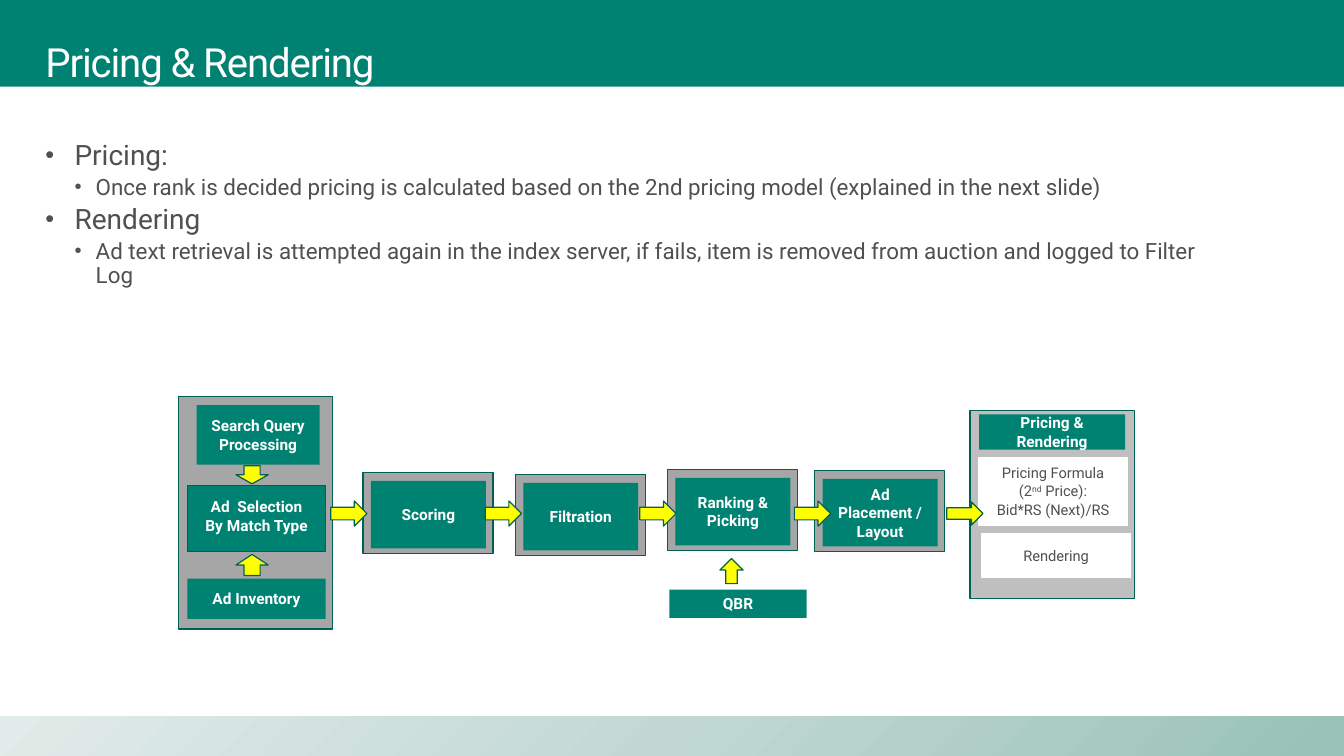
from copy import deepcopy

from lxml.etree import SubElement
from pptx import Presentation
from pptx.dml.color import RGBColor
from pptx.enum.shapes import MSO_SHAPE as SHAPE
from pptx.enum.text import MSO_ANCHOR as ANCHOR, PP_ALIGN as ALIGN
from pptx.oxml.ns import qn
from pptx.util import Inches, Pt

COLORS = {
    "teal": "008272", "outline": "006054", "gray": "A6A6A6", "silver": "BFBFBF",
    "yellow": "FFFF00", "white": "FFFFFF", "text": "505050",
    "bar_dark": "98C1B7", "bar_mid": "C1D8D2", "bar_light": "E1EBE9",
}
FONT = "Roboto"
CELL = Inches(0.1)
COLS, ROWS = 133.3, 75

BULLETS = [
    (0, "Pricing:"),
    (1, "Once rank is decided pricing is calculated based on the 2nd pricing model "
        "(explained in the next slide)"),
    (0, "Rendering"),
    (1, "Ad text retrieval is attempted again in the index server, if fails, item is "
        "removed from auction and logged to Filter Log"),
]
BULLET_LEVELS = [(20, 0.29, 0.29), (16, 0.5, 0.21)]
STAGES = [
    ("Scoring", 36, 46.9),
    ("Filtration", 51.1, 47.1),
    ("Ranking & Picking", 66.2, 46.6),
    ("Ad Placement / Layout", 80.8, 46.7),
]


def color(name):
    return RGBColor.from_string(COLORS[name])


def grid(*cells):
    return [round(c * CELL) for c in cells]


def style(r, size, name, bold=False):
    r.font.name, r.font.size, r.font.bold = FONT, Pt(size), bold
    r.font.color.rgb = color(name)


def set_insets(tf):
    tf.word_wrap = True
    tf.vertical_anchor = ANCHOR.TOP
    tf.margin_left = tf.margin_right = Inches(0.16)
    tf.margin_top = tf.margin_bottom = Inches(0.1)


def add_block(s, cells, fill, line=None, kind=SHAPE.RECTANGLE):
    sp = s.shapes.add_shape(kind, *grid(*cells))
    sp.shadow.inherit = False
    sp.fill.solid()
    sp.fill.fore_color.rgb = color(fill)
    if line:
        sp.line.color.rgb = color(line)
        sp.line.width = Pt(0.85)
    else:
        sp.line.fill.background()
    return sp


def add_label(s, cells, text, fill="teal", line=None, size=11, font="white", bold=True):
    sp = add_block(s, cells, fill, line)
    tf = sp.text_frame
    tf.word_wrap = True
    tf.vertical_anchor = ANCHOR.MIDDLE
    tf.text = text
    for p in tf.paragraphs:
        p.alignment = ALIGN.CENTER
        p.space_before = Pt(size / 10)
        for r in p.runs:
            style(r, size, font, bold)
    return sp


def add_note(s, cells, text):
    return add_label(s, cells, text, "white", "white", 10.5, "text", False)


def add_arrow(s, cells, kind=SHAPE.RIGHT_ARROW):
    return add_block(s, cells, "yellow", "outline", kind)


def add_footer_bar(s):
    sp = add_block(s, (0, 71.1, COLS, ROWS - 71.1), "bar_mid")
    sp.fill.gradient()
    sp.fill.gradient_angle = 135
    first, last = sp.fill.gradient_stops
    first.color.rgb, last.color.rgb = color("bar_dark"), color("bar_light")
    first.position, last.position = 0, 1
    stops = sp._element.spPr.find(qn("a:gradFill")).find(qn("a:gsLst"))
    stops.insert(1, deepcopy(stops[0]))
    middle = sp.fill.gradient_stops[1]
    middle.position, middle.color.rgb = 0.5, color("bar_mid")


def add_title(s, text):
    sp = s.shapes.title
    sp.left, sp.top, sp.width, sp.height = grid(2.9, 3.2, 118.7, 14.5)
    tf = sp.text_frame
    tf.text = text
    set_insets(tf)
    p = tf.paragraphs[0]
    p.alignment, p.line_spacing = ALIGN.LEFT, 0.9
    style(p.runs[0], 28.7, "white")
    p.runs[0].font._element.set("spc", "-80")


def add_bullets(s):
    tf = s.shapes.add_textbox(*grid(2.9, 13, 118.7, 24.5)).text_frame
    set_insets(tf)
    tf.text = "\n".join(text for _, text in BULLETS)
    for p, (level, _) in zip(tf.paragraphs, BULLETS):
        size, indent, hanging = BULLET_LEVELS[level]
        p.level, p.line_spacing, p.space_before = level, 0.9, Pt(size / 5)
        style(p.runs[0], size, "text")
        pPr = p._p.get_or_add_pPr()
        pPr.set("marL", str(Inches(indent)))
        pPr.set("indent", str(-Inches(hanging)))
        SubElement(pPr, qn("a:buSzPct")).set("val", "90000")
        SubElement(pPr, qn("a:buFont")).set("typeface", "Arial")
        SubElement(pPr, qn("a:buChar")).set("char", "•")


def add_pricing_panel(s):
    add_block(s, (96.2, 40.7, 16.3, 18.7), "silver", "outline")
    formula = add_note(s, (97.1, 45.4, 14.7, 6.7), "Pricing Formula (2\nBid*RS (Next)/RS")
    p = formula.text_frame.paragraphs[0]
    for text in ("nd", " Price):"):
        r = p.add_run()
        r.text = text
        style(r, 10.5, "text")
    p.runs[1].font._element.set("baseline", "30000")
    add_label(s, (97.1, 41.1, 14.5, 3.5), "Pricing & Rendering")
    add_note(s, (97.4, 52.9, 14.7, 4.4), "Rendering")
    add_arrow(s, (93.9, 49.8, 3.6, 2.3))


def add_selection_panel(s):
    add_block(s, (17.7, 39.3, 15.3, 23.1), "gray", "outline")
    add_label(s, (19.5, 40.2, 12.2, 5.9), "Search Query Processing")
    add_block(s, (18.6, 48.2, 13.7, 6.5), "teal", "outline")
    add_label(s, (19, 49.4, 12.9, 3.6), "Ad  Selection By Match Type")
    add_arrow(s, (23.4, 46.2, 3.2, 1.8), SHAPE.DOWN_ARROW)
    add_label(s, (18.6, 57.4, 13.7, 4), "Ad Inventory")
    add_arrow(s, (23.4, 55, 3.2, 2.1), SHAPE.UP_ARROW)


def add_stages(s):
    for text, left, top in STAGES:
        add_block(s, (left, top, 12.9, 8), "gray", "outline")
        add_label(s, (left + 0.8, top + 0.8, 11.4, 6.7), text)
    add_label(s, (66.4, 58.5, 13.6, 2.8), "QBR")
    add_arrow(s, (71.4, 55.4, 2.3, 2.5), SHAPE.UP_ARROW)
    for i in range(len(STAGES)):
        add_arrow(s, (32.8 + 15.33 * i, 49.7, 3.6, 2.5))


def main():
    prs = Presentation()
    prs.slide_width, prs.slide_height = grid(COLS, ROWS)
    s = prs.slides.add_slide(prs.slide_layouts[5])
    add_footer_bar(s)
    header = add_block(s, (0, 0, COLS, 8.6), "teal")
    s.shapes.title._element.addprevious(header._element)
    add_title(s, "Pricing & Rendering")
    add_bullets(s)
    add_pricing_panel(s)
    add_selection_panel(s)
    add_stages(s)
    prs.save("out.pptx")


if __name__ == "__main__":
    main()
